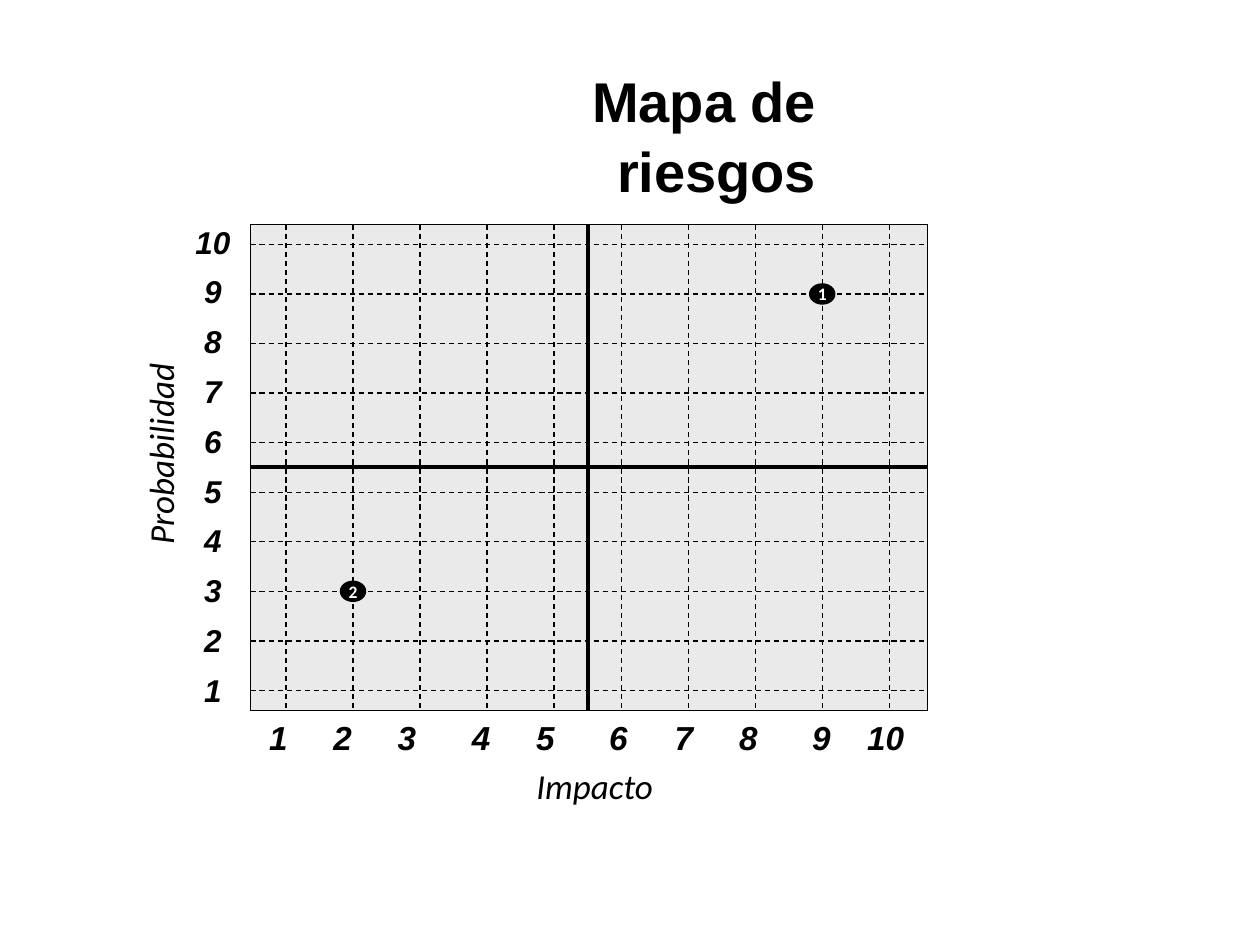
import pptx
import pptx.dml.color
import pptx.enum.dml
import pptx.enum.shapes
import pptx.enum.text
import pptx.oxml.ns
import pptx.util
from lxml import etree

ALIGN = pptx.enum.text.PP_ALIGN
ANCHOR = pptx.enum.text.MSO_ANCHOR
SHAPE = pptx.enum.shapes.MSO_SHAPE
WIDTH, HEIGHT = 10, 7.5
BLACK, WHITE, GREY = "000000", "FFFFFF", "EAEAEA"
SCORES = range(1, 11)
MIDDLE = 5.5
# Edges of the map, in impact and probability scores
LEFT, RIGHT, BOTTOM, TOP = 0.47, 10.57, 0.6, 10.4
# Centres of the impact labels, in inches from the left of their text
LABEL_STOPS = (0.46, 0.97, 1.48, 2.07, 2.58, 3.16, 3.68, 4.19, 4.77, 5.28)
RISKS = (("2", 2, 3), ("1", 9, 9))


def colour(value):
    return pptx.dml.color.RGBColor.from_string(value)


def add_element(parent, tag, **attributes):
    return etree.SubElement(parent, pptx.oxml.ns.qn(tag), **attributes)


class RiskMap:
    def __init__(self, presentation):
        layout = presentation.slide_layouts[5]
        self.slide = presentation.slides.add_slide(layout)

    def column(self, impact):
        return pptx.util.Inches(2.27 + 0.532 * (impact - 1))

    def row(self, probability):
        return pptx.util.Inches(5.48 - 0.3933 * (probability - 1))

    def place(self, shape, left, top, width, height):
        """Place a shape by shares of the slide's size."""
        shape.left = pptx.util.Inches(left * WIDTH)
        shape.top = pptx.util.Inches(top * HEIGHT)
        shape.width = pptx.util.Inches(width * WIDTH)
        shape.height = pptx.util.Inches(height * HEIGHT)

    def style(self, paragraph, size, name="Arial", bold=False, italic=False,
              align=ALIGN.CENTER, text_colour=BLACK):
        paragraph.alignment = align
        font = paragraph.font
        font.size, font.name = pptx.util.Pt(size), name
        font.bold, font.italic = bold, italic
        font.color.rgb = colour(text_colour)

    def title(self, text, box):
        shape = self.slide.shapes.title
        self.place(shape, *box)
        frame = shape.text_frame
        frame.text = text
        frame.word_wrap = True
        frame.auto_size = pptx.enum.text.MSO_AUTO_SIZE.NONE
        frame.vertical_anchor = ANCHOR.TOP
        frame.paragraphs[0].line_spacing = 1.04
        self.style(frame.paragraphs[0], 32, bold=True, align=ALIGN.RIGHT)

    def text(self, lines, box, size, anchor=ANCHOR.TOP, gap=0, stops=(),
             rotation=0, **style):
        shape = self.slide.shapes.add_textbox(0, 0, 0, 0)
        self.place(shape, *box)
        shape.rotation = rotation
        frame = shape.text_frame
        frame.word_wrap = True
        frame.vertical_anchor = anchor
        for index, line in enumerate(lines):
            paragraph = frame.add_paragraph() if index else frame.paragraphs[0]
            paragraph.text = line
            if index:
                paragraph.space_before = pptx.util.Pt(gap)
            if stops:
                tabs = add_element(paragraph._p.get_or_add_pPr(), "a:tabLst")
                for stop in stops:
                    add_element(tabs, "a:tab", algn="ctr",
                                pos=str(int(pptx.util.Inches(stop))))
            self.style(paragraph, size, **style)

    def shape(self, kind, left, top, width, height, fill):
        shape = self.slide.shapes.add_shape(kind, left, top, width, height)
        shape.shadow.inherit = False
        shape.fill.solid()
        shape.fill.fore_color.rgb = colour(fill)
        shape.line.color.rgb = colour(BLACK)
        shape.line.width = pptx.util.Pt(0.75)
        return shape

    def background(self):
        left, top = self.column(LEFT), self.row(TOP)
        self.shape(SHAPE.RECTANGLE, left, top, self.column(RIGHT) - left,
                   self.row(BOTTOM) - top, GREY)

    def line(self, start, end, width, dashed):
        connector = self.slide.shapes.add_connector(
            pptx.enum.shapes.MSO_CONNECTOR.STRAIGHT,
            self.column(start[0]), self.row(start[1]),
            self.column(end[0]), self.row(end[1]))
        connector.line.color.rgb = colour(BLACK)
        connector.line.width = pptx.util.Pt(width)
        if dashed:
            connector.line.dash_style = pptx.enum.dml.MSO_LINE.DASH
        add_element(connector._element.spPr, "a:effectLst")

    def cross(self, score, width=0.75, dashed=True):
        """Draw the vertical and the horizontal line of one score."""
        self.line((score, TOP), (score, BOTTOM), width, dashed)
        self.line((LEFT, score), (RIGHT, score), width, dashed)

    def marker(self, label, impact, probability):
        width, height = pptx.util.Inches(0.2), pptx.util.Inches(0.16)
        shape = self.shape(SHAPE.OVAL, self.column(impact) - width // 2,
                           self.row(probability) - height // 2,
                           width, height, BLACK)
        frame = shape.text_frame
        frame.text = label
        frame.word_wrap = False
        frame.vertical_anchor = ANCHOR.MIDDLE
        frame.margin_left = frame.margin_right = 0
        frame.margin_top = frame.margin_bottom = 0
        self.style(frame.paragraphs[0], 10, "Calibri", bold=True,
                   text_colour=WHITE)


def main():
    presentation = pptx.Presentation()
    presentation.slide_width = pptx.util.Inches(WIDTH)
    presentation.slide_height = pptx.util.Inches(HEIGHT)
    risk_map = RiskMap(presentation)

    # Title
    risk_map.title("Mapa de riesgos", (0.338, 0.061, 0.32, 0.085))

    # Map with its grid and quadrant lines
    risk_map.background()
    for score in SCORES:
        risk_map.cross(score)
    risk_map.cross(MIDDLE, width=2.25, dashed=False)

    # Scores along both axes
    impacts = "".join(f"\t{score}" for score in SCORES)
    risk_map.text([impacts], (0.165, 0.752, 0.602, 0.056), 19,
                  stops=LABEL_STOPS, align=ALIGN.LEFT, bold=True, italic=True)
    risk_map.text([str(score) for score in reversed(SCORES)],
                  (0.129, 0.229, 0.08, 0.53), 18, gap=6.85,
                  bold=True, italic=True)

    # Risks
    for risk in RISKS:
        risk_map.marker(*risk)

    # Axis names
    axis_style = dict(size=20, anchor=ANCHOR.MIDDLE, name="Calibri",
                      italic=True)
    risk_map.text(["Impacto"], (0.248, 0.812, 0.448, 0.039), **axis_style)
    risk_map.text(["Probabilidad"], (-0.05, 0.456, 0.354, 0.049),
                  rotation=270, **axis_style)

    presentation.save("out.pptx")


if __name__ == "__main__":
    main()
